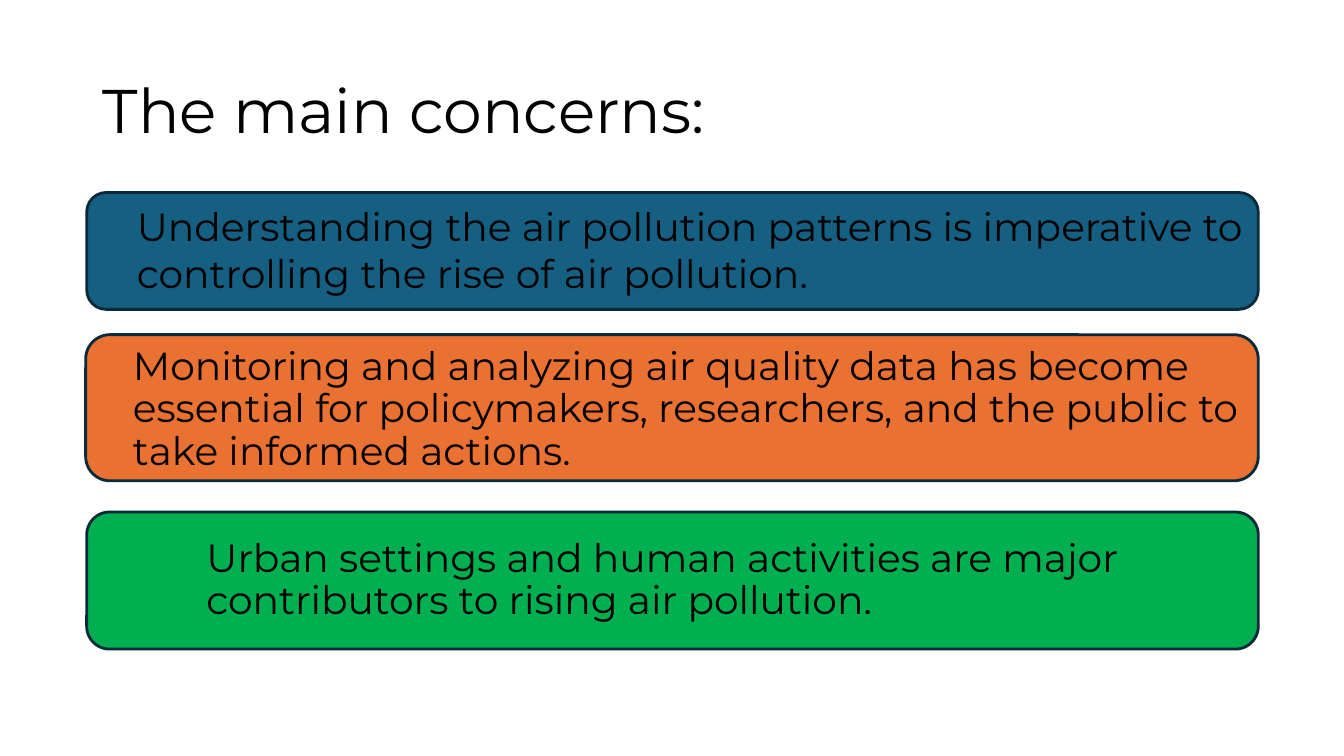
"""Build the slide listing the main concerns about air pollution."""
from pptx import Presentation
from pptx.dml.color import RGBColor
from pptx.enum.shapes import MSO_SHAPE
from pptx.enum.text import MSO_ANCHOR, MSO_AUTO_SIZE, PP_ALIGN
from pptx.util import Inches, Pt

ROUNDED = MSO_SHAPE.ROUNDED_RECTANGLE
MIDDLE = MSO_ANCHOR.MIDDLE
LEFT = PP_ALIGN.LEFT
NO_FIT = MSO_AUTO_SIZE.NONE
GROW = MSO_AUTO_SIZE.SHAPE_TO_FIT_TEXT

FONT = "Montserrat"
COLORS = {
    "text": "000000",
    "outline": "092A39",
    "blue": "156082",
    "orange": "E97132",
    "green": "00B050",
}
TITLE = "The main concerns:"
CONCERNS = [
    {
        "text": "Understanding the air pollution patterns is imperative to "
                "controlling the rise of air pollution.",
        "color": "blue", "panel": (0.86, 1.91, 11.62, 1.16),
        "label": (1.26, 1.96, 11.68, 1.04), "indent": 0, "spacing": 1.0,
    },
    {
        "text": "Monitoring and analyzing air quality data has become essential "
                "for policymakers, researchers, and the public to take informed actions.",
        "color": "orange", "panel": (0.85, 3.32, 11.63, 1.45),
        "label": (1.1, 3.39, 12, 1.37), "indent": 0.12, "spacing": 0.9,
    },
    {
        "text": "Urban settings and human activities are major contributors "
                "to rising air pollution.",
        "color": "green", "panel": (0.86, 5.08, 11.62, 1.36),
        "label": (1.83, 5.29, 10.54, 0.95), "indent": 0.12, "spacing": 0.9,
    },
]


def color(name):
    return RGBColor.from_string(COLORS[name])


def lengths(values):
    return [Inches(value) for value in values]


def write(box, text, size, spacing, fit):
    frame = box.text_frame
    frame.word_wrap = True
    frame.auto_size = fit
    para = frame.paragraphs[0]
    para.text = text
    para.alignment = LEFT
    para.line_spacing = spacing
    para.font.name = FONT
    para.font.size = Pt(size)
    para.font.color.rgb = color("text")
    return para


def add_concern(page, concern):
    group = page.shapes.add_group_shape()
    panel = group.shapes.add_shape(ROUNDED, *lengths(concern["panel"]))
    panel.shadow.inherit = False
    panel.fill.solid()
    panel.fill.fore_color.rgb = color(concern["color"])
    panel.line.color.rgb = color("outline")
    panel.line.width = Pt(2)

    label = group.shapes.add_textbox(*lengths(concern["label"]))
    para = write(label, concern["text"], 28, concern["spacing"], GROW)
    properties = para._p.get_or_add_pPr()
    properties.set("marL", str(Inches(concern["indent"])))
    properties.set("indent", "0")


def main():
    deck = Presentation()
    deck.slide_width, deck.slide_height = lengths((13.33, 7.5))
    page = deck.slides.add_slide(deck.slide_layouts[5])
    title = page.shapes.title
    title.left, title.top, title.width, title.height = lengths((0.92, 0.4, 11.5, 1.45))
    write(title, TITLE, 44, 0.9, NO_FIT)
    title.text_frame.vertical_anchor = MIDDLE
    for concern in CONCERNS:
        add_concern(page, concern)
    deck.save("out.pptx")


if __name__ == "__main__":
    main()
